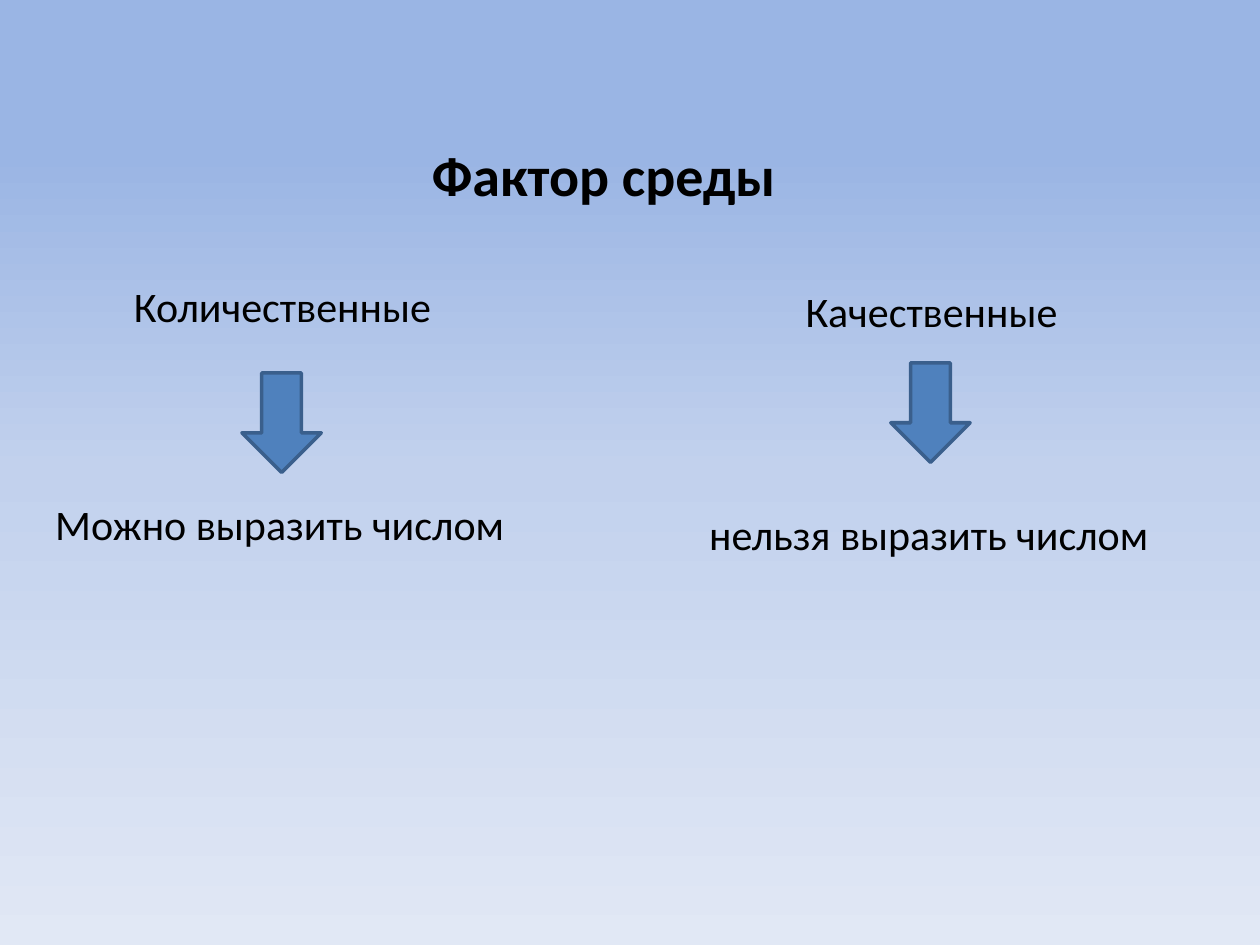
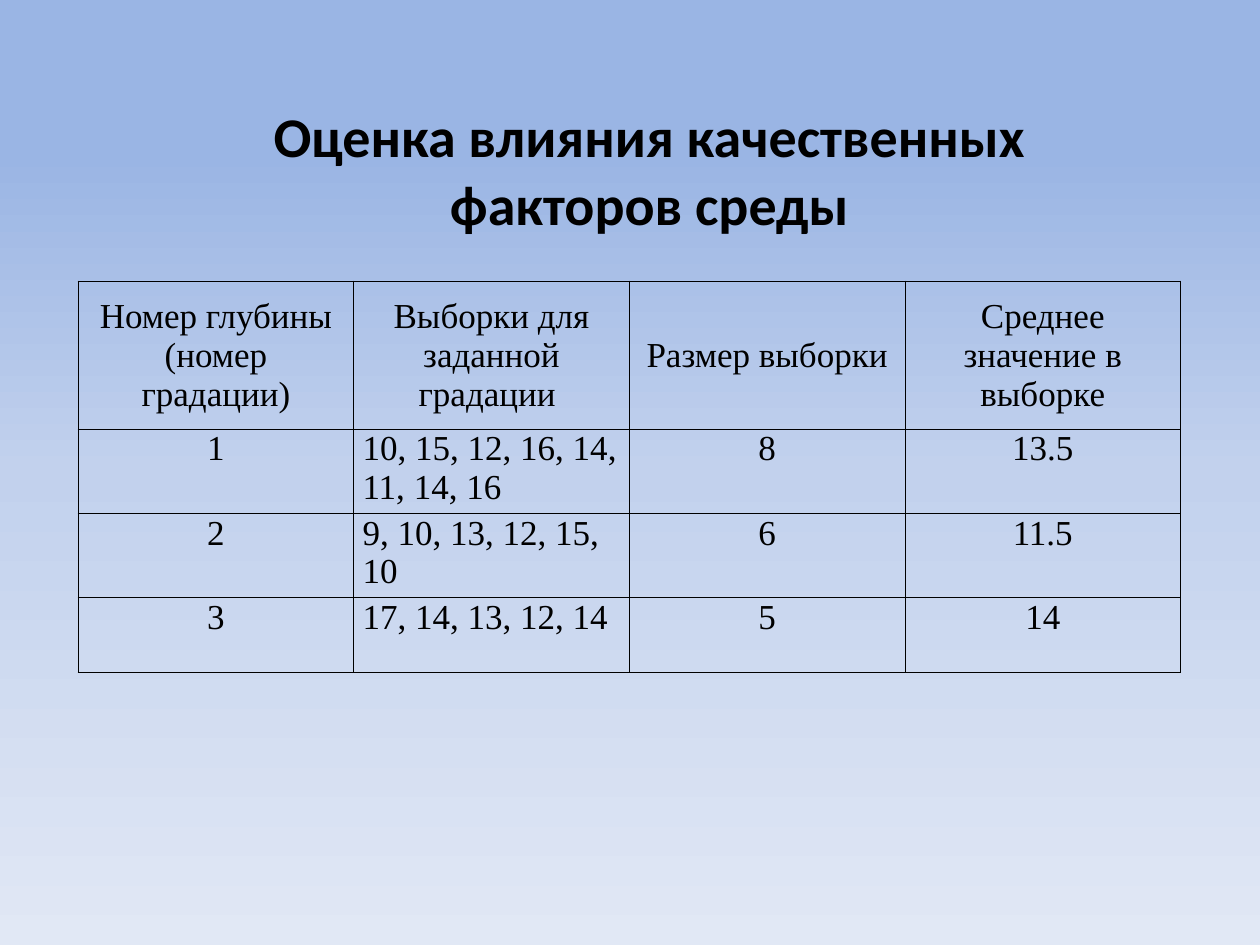
import pptx
import pptx.util
import pptx.dml.color
import pptx.enum.shapes
import pptx.enum.text
import pptx.oxml
import pptx.oxml.ns

Inches, Pt = pptx.util.Inches, pptx.util.Pt
ALIGN = pptx.enum.text.PP_ALIGN
ANCHOR = pptx.enum.text.MSO_ANCHOR
COLORS = {
    "text": "000000",
    "border": "000000",
    "arrow": "4F81BD",
    "arrow_line": "3A5F8C",
    "sky_top": "9AB5E4",
    "sky_middle": "C2D1ED",
    "sky_bottom": "E1E8F5",
}
SKY_STOPS = [(16, "sky_top"), (50, "sky_middle"), (100, "sky_bottom")]
TITLE_FONT = {"name": "Calibri", "size": Pt(32), "bold": True}
LABEL_FONT = {"name": "Calibri", "size": Pt(24), "bold": False}
TABLE_FONT = {"name": "Times New Roman", "size": Pt(20), "bold": False}
CELL_FORMAT = {"margin_left": Inches(0.07), "margin_right": Inches(0.07),
               "margin_top": 0, "margin_bottom": 0}

# Each factor: box of the column, name, explanation, then tops inside the box
FACTORS = [
    ((0.34, 2.18, 3.8), ("Количественные", 2.59), "Можно выразить числом",
     {"arrow": 0.78, "meaning": 1.73}),
    ((5.53, 2.22, 3.72), ("Качественные", 2.23), "нельзя выразить числом",
     {"arrow": 0.66, "meaning": 1.77}),
]
SAMPLES = [
    ["Номер глубины\n(номер градации)", "Выборки для заданной градации ",
     "Размер выборки", "Среднее значение в выборке"],
    ["1", "10, 15, 12, 16, 14, 11, 14, 16", "8", "13.5"],
    ["2", "9, 10, 13, 12, 15, 10", "6", "11.5"],
    ["3", "17, 14, 13, 12, 14", "5", "14"],
]


def color(name):
    return pptx.dml.color.RGBColor.from_string(COLORS[name])


def apply_format(target, values):
    for name, value in values.items():
        setattr(target, name, value)


def xml(tag, content, attributes=""):
    namespace = pptx.oxml.ns.nsdecls("a")
    return pptx.oxml.parse_xml(f"<a:{tag} {namespace} {attributes}>{content}</a:{tag}>")


def write_text(frame, text, font, alignment):
    frame.text = text
    for paragraph in frame.paragraphs:
        paragraph.alignment = alignment
        for run in paragraph.runs:
            apply_format(run.font, font)
            run.font.color.rgb = color("text")


# Shared background
def set_background(master):
    fill = master.background.fill
    fill.gradient()
    fill.gradient_angle = 270
    stops = "".join(
        f'<a:gs pos="{position * 1000}"><a:srgbClr val="{COLORS[name]}"/></a:gs>'
        for position, name in SKY_STOPS)
    old_stops = next(master.element.iter(pptx.oxml.ns.qn("a:gsLst")))
    old_stops.getparent().replace(old_stops, xml("gsLst", stops))


# Shared title style
def add_title(slide, box, text, alignment):
    shape = slide.shapes.add_textbox(*map(Inches, box))
    shape.text_frame.word_wrap = True
    write_text(shape.text_frame, text, TITLE_FONT, alignment)
    properties = shape.text_frame.paragraphs[0]._p.get_or_add_pPr()
    properties.set("marL", str(Inches(0.38)))
    properties.set("indent", "0")
    properties.append(xml("spcBef", '<a:spcPct val="20000"/>'))


def add_label(slide, center, top, width, text):
    shape = slide.shapes.add_textbox(
        Inches(center - width / 2), Inches(top), Inches(width), Inches(0.5))
    apply_format(shape.text_frame, {
        "word_wrap": False,
        "auto_size": pptx.enum.text.MSO_AUTO_SIZE.SHAPE_TO_FIT_TEXT})
    write_text(shape.text_frame, text, LABEL_FONT, ALIGN.LEFT)


# One factor: name, arrow down, explanation, all on one axis
def add_factor(slide, box, name, meaning, tops):
    left, top, width = box
    center = left + width / 2
    name_text, name_width = name
    add_label(slide, center + 0.02, top, name_width, name_text)
    arrow = slide.shapes.add_shape(
        pptx.enum.shapes.MSO_SHAPE.DOWN_ARROW, Inches(center - 0.32),
        Inches(top + tops["arrow"]), Inches(0.63), Inches(0.79))
    arrow.shadow.inherit = False
    arrow.fill.solid()
    arrow.fill.fore_color.rgb = color("arrow")
    arrow.line.color.rgb = color("arrow_line")
    arrow.line.width = Pt(2)
    add_label(slide, center, top + tops["meaning"], width, meaning)


def add_borders(cell):
    properties = cell._tc.get_or_add_tcPr()
    line = f'<a:solidFill><a:srgbClr val="{COLORS["border"]}"/></a:solidFill>'
    for side in "LRTB":
        properties.append(xml(f"ln{side}", line, f'w="{Pt(0.5)}"'))


# Table of samples
def add_samples_table(slide, box, rows, header_height, row_height):
    column_count = len(rows[0])
    table = slide.shapes.add_table(len(rows), column_count, *map(Inches, box)).table
    apply_format(table, {"first_row": False, "horz_banding": False})
    for column in table.columns:
        column.width = Inches(box[2] / column_count)
    for row_index, values in enumerate(rows):
        is_header = row_index == 0
        table.rows[row_index].height = Inches(header_height if is_header else row_height)
        for column_index, text in enumerate(values):
            cell = table.cell(row_index, column_index)
            is_list = column_index == 1 and not is_header
            apply_format(cell, CELL_FORMAT)
            cell.vertical_anchor = ANCHOR.MIDDLE if is_header else ANCHOR.TOP
            write_text(cell.text_frame, text, TABLE_FONT,
                       ALIGN.LEFT if is_list else ALIGN.CENTER)
            add_borders(cell)
            cell.fill.background()


def build_factors_slide(slide):
    add_title(slide, (2.95, 1.07, 3.74, 1.1), "Фактор среды", ALIGN.JUSTIFY)
    for factor in FACTORS:
        add_factor(slide, *factor)


def build_samples_slide(slide):
    add_title(slide, (1.38, 0.76, 7.17, 1.1),
              "Оценка влияния качественных факторов среды", ALIGN.CENTER)
    add_samples_table(slide, (0.62, 2.23, 8.75, 2.95), SAMPLES, 1.18, 0.59)


def main():
    presentation = pptx.Presentation()
    apply_format(presentation, {"slide_width": Inches(10), "slide_height": Inches(7.5)})
    set_background(presentation.slide_master)
    for build in (build_factors_slide, build_samples_slide):
        build(presentation.slides.add_slide(presentation.slide_layouts[6]))
    presentation.save("out.pptx")


if __name__ == "__main__":
    main()
